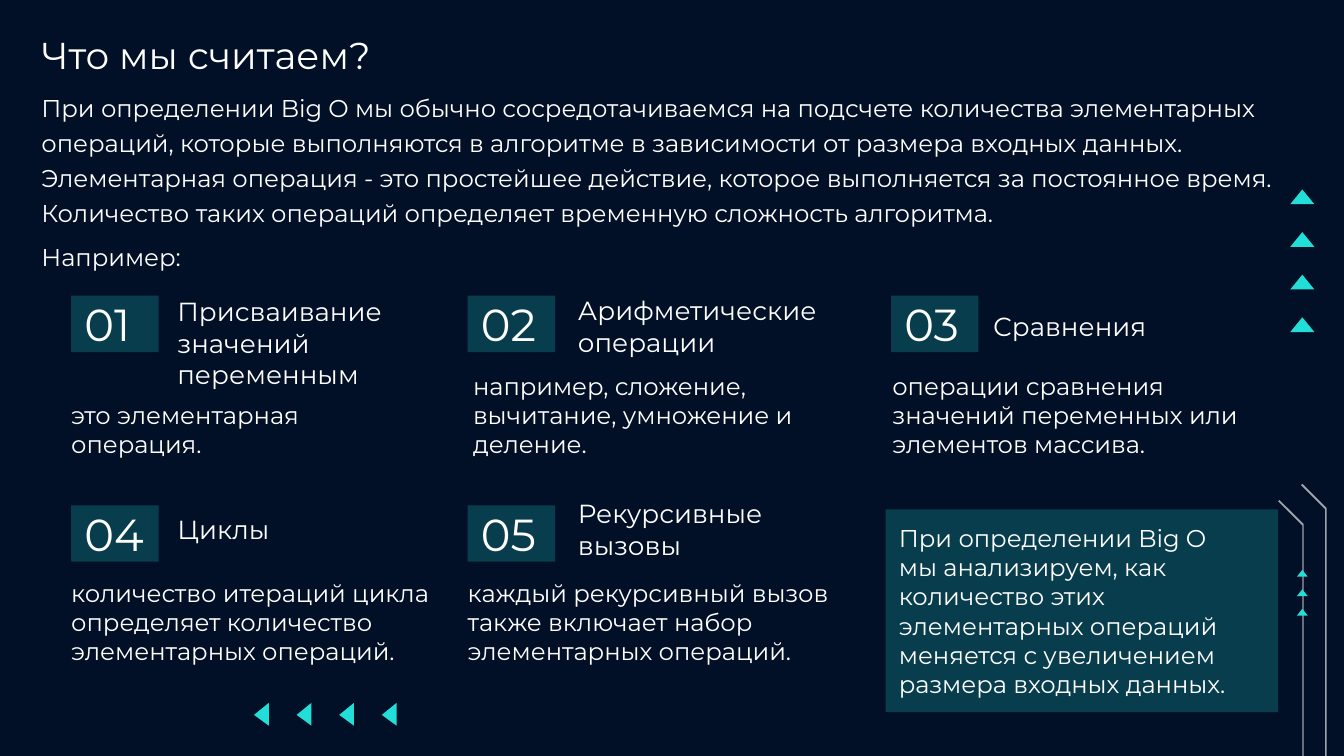
"""Build a dark slide on which elementary operations Big O counts."""
from dataclasses import dataclass
from pptx import Presentation
from pptx.dml.color import RGBColor as RGB
from pptx.enum.shapes import MSO_SHAPE as Kind
from pptx.enum.text import MSO_ANCHOR as Anchor, PP_ALIGN as Align
from pptx.oxml.ns import qn
from pptx.util import Inches, Pt
from lxml.etree import SubElement


@dataclass(frozen=True)
class Theme:
    font: str = "Montserrat"
    back: str = "011027"
    ink: str = "FFFFFF"
    teal: str = "21DFD8"
    title: int = 20
    number: int = 24
    head: int = 14
    body: int = 13


theme = Theme()
deck = Presentation()
deck.slide_width = Inches(10)
deck.slide_height = Inches(10 * 9 / 16)
slide = deck.slides.add_slide(deck.slide_layouts[6])
slide.background.fill.solid()
slide.background.fill.fore_color.rgb = RGB.from_string(theme.back)
shapes = slide.shapes


def paint(shape, color, alpha=100):
    shape.shadow.inherit = False
    shape.line.fill.background()
    shape.fill.solid()
    shape.fill.fore_color.rgb = RGB.from_string(color)
    if alpha < 100:
        tint = shape.element.spPr.find(qn("a:solidFill") + "/" + qn("a:srgbClr"))
        SubElement(tint, qn("a:alpha"), val=str(alpha * 1000))


def write(text, at, size=theme.body, anchor=Anchor.TOP, pad=0.0, tile=False):
    area = [Inches(n) for n in at]
    if tile:
        box = shapes.add_shape(Kind.RECTANGLE, *area)
        paint(box, theme.teal, 22)
    else:
        box = shapes.add_textbox(*area)
    frame = box.text_frame
    frame.word_wrap = True
    frame.vertical_anchor = anchor
    frame.margin_left = frame.margin_right = Inches(pad)
    frame.margin_top = frame.margin_bottom = Inches(pad)
    frame.text = text
    for para in frame.paragraphs:
        para.alignment = Align.LEFT
        para.font.size = Pt(size)
        para.font.name = theme.font
        para.font.color.rgb = RGB.from_string(theme.ink)
    return frame


marks = []
for i in range(4):
    x, y = 2.0 + 0.317 * i, 1.52 + 0.317 * i
    marks.append(([(x, 5.4), (x, 5.23), (x - 0.11, 5.32)], theme.teal, 100))
    marks.append(([(9.6, y), (9.78, y), (9.69, y - 0.11)], theme.teal, 100))
for x, y in [(9.51, 3.73), (9.68, 3.61)]:
    track = [(x, y), (x + 0.01, y - 0.01), (x + 0.19, y + 0.17),
             (x + 0.19, 5.63), (x + 0.18, 5.63), (x + 0.18, y + 0.18)]
    marks.append((track, theme.ink, 61))
for i in range(3):
    y = 4.29 + 0.145 * i
    marks.append(([(9.65, y), (9.73, y), (9.69, y - 0.05)], theme.teal, 100))
for points, color, alpha in marks:
    dots = [(Inches(x), Inches(y)) for x, y in points]
    pen = shapes.build_freeform(*dots[0])
    pen.add_line_segments(dots[1:])
    paint(pen.convert_to_shape(), color, alpha)

write("Что мы считаем?", (0.21, 0.14, 8.43, 0.63), size=theme.title, pad=0.1)
intro = write(
    "При определении Big O мы обычно сосредотачиваемся на подсчете количества "
    "элементарных операций, которые выполняются в алгоритме в зависимости от "
    "размера входных данных. Элементарная операция - это простейшее действие, "
    "которое выполняется за постоянное время. Количество таких операций "
    "определяет временную сложность алгоритма.\nНапример:",
    (0.21, 0.55, 9.58, 1.7), pad=0.1)
intro.paragraphs[0].line_spacing = 1.2
for para in intro.paragraphs:
    para.space_after = Pt(8)

cards = [
    ("01", (0.53, 2.2), "Присваивание\nзначений переменным", (1.32, 2.19, 2.34, 0.71),
     "это элементарная операция.", (0.53, 2.98, 2.64, 0.44)),
    ("02", (3.48, 2.2), "Арифметические операции", (4.3, 2.19, 2.64, 0.47),
     "например, сложение, вычитание, умножение и деление.", (3.52, 2.76, 2.64, 0.66)),
    ("03", (6.63, 2.2), "Сравнения", (7.39, 2.3, 1.46, 0.24),
     "операции сравнения значений переменных или элементов массива.",
     (6.64, 2.76, 2.64, 0.66)),
    ("04", (0.53, 3.76), "Циклы", (1.32, 3.81, 1.15, 0.24),
     "количество итераций цикла определяет количество элементарных операций.",
     (0.53, 4.3, 2.88, 0.66)),
    ("05", (3.48, 3.76), "Рекурсивные\nвызовы", (4.3, 3.7, 1.94, 0.47),
     "каждый рекурсивный вызов также включает набор элементарных операций.",
     (3.48, 4.3, 2.92, 0.66)),
]
for number, spot, head, top, body, low in cards:
    write(number, (*spot, 0.65, 0.42), size=theme.number,
          anchor=Anchor.MIDDLE, pad=0.1, tile=True)
    write(head, top, size=theme.head, anchor=Anchor.BOTTOM)
    write(body, low)

write("При определении Big O\nмы анализируем, как количество этих элементарных "
      "операций меняется с увеличением размера входных данных.",
      (6.59, 3.79, 2.92, 1.51), anchor=Anchor.MIDDLE, pad=0.1, tile=True)

deck.save("out.pptx")
